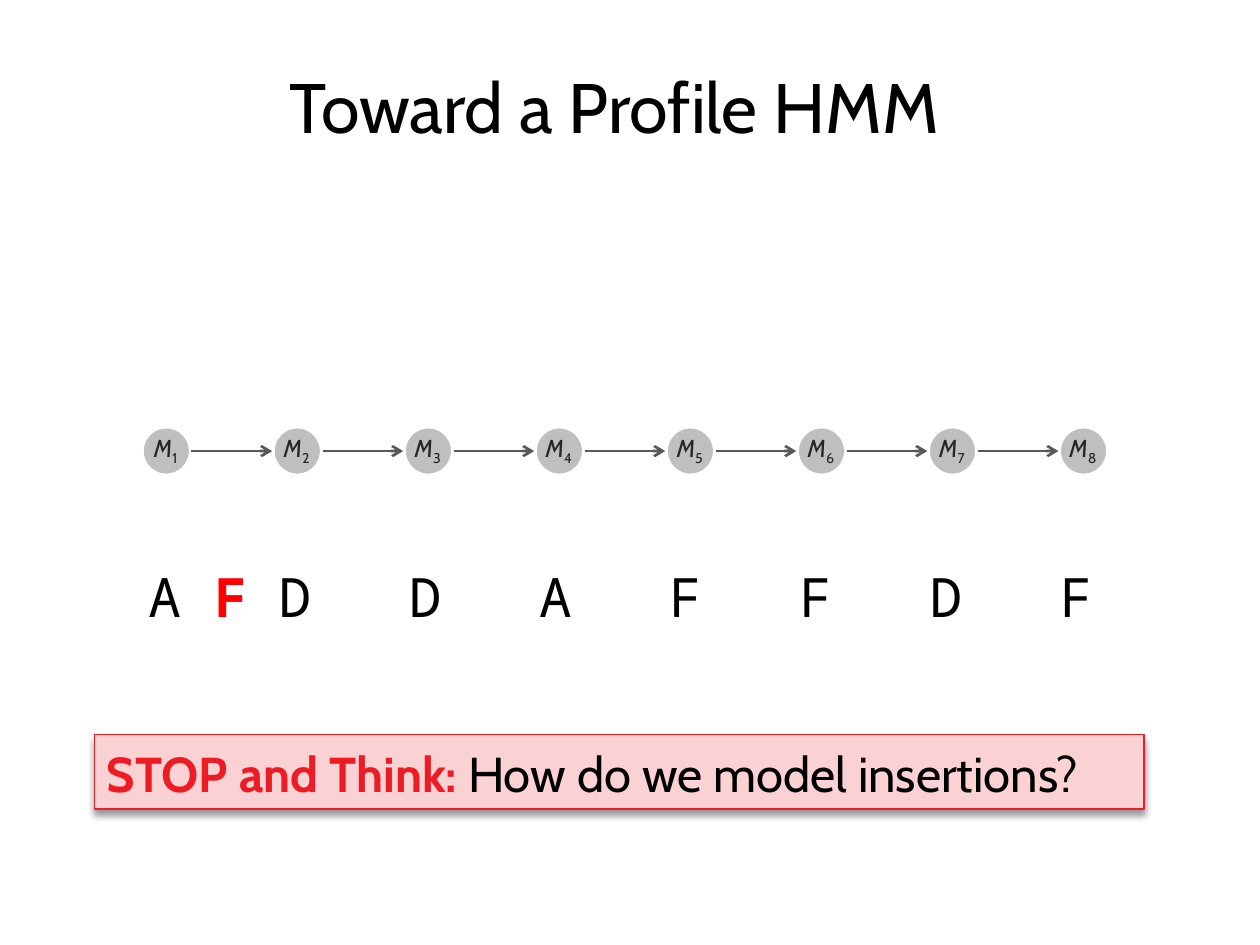
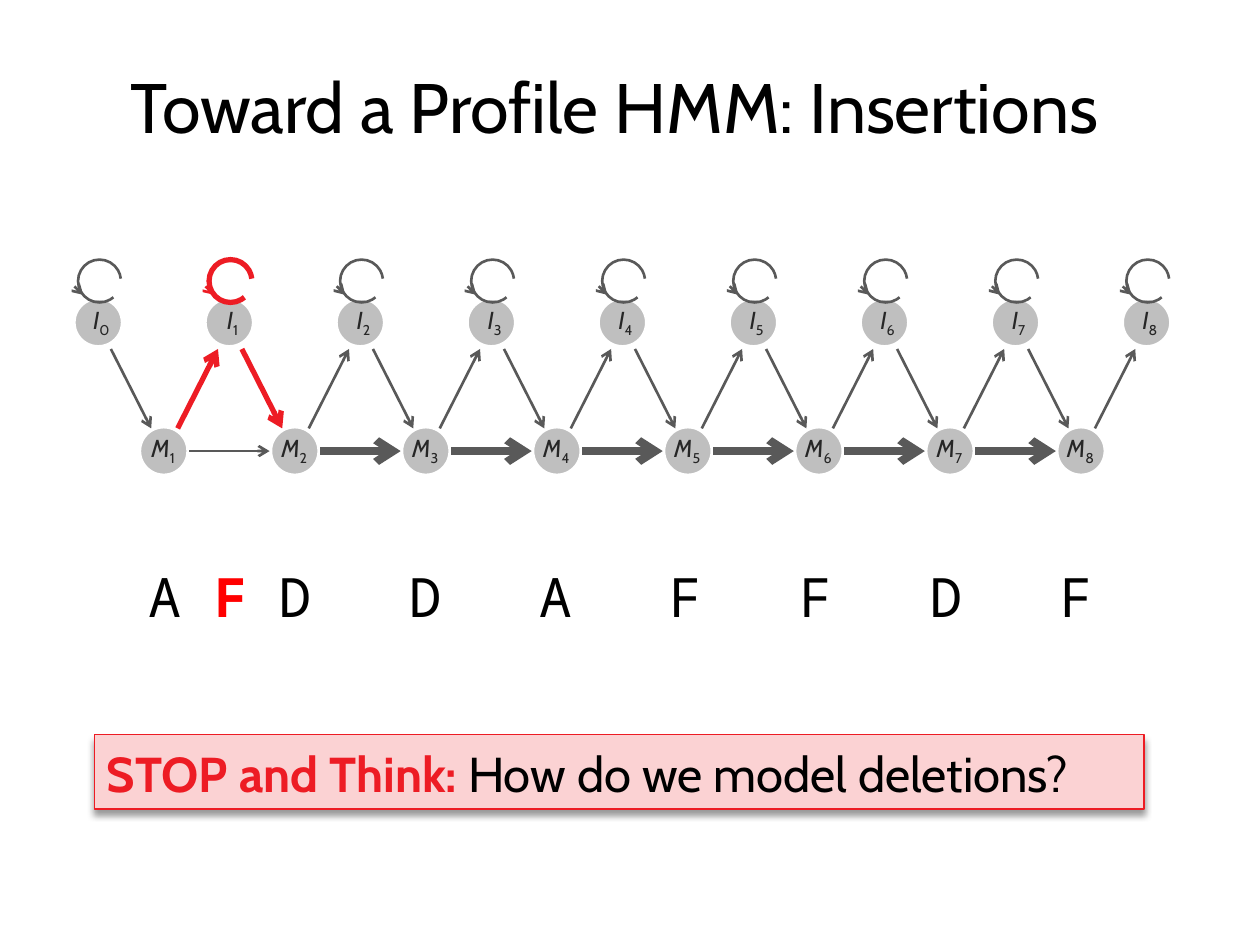
"""Build two slides on profile HMMs: match states, then insertion states."""
from lxml.etree import SubElement
from pptx import Presentation
from pptx.dml.color import RGBColor
from pptx.enum.shapes import MSO_CONNECTOR as CONN, MSO_SHAPE as SHAPE
from pptx.enum.text import MSO_ANCHOR as ANCHOR, MSO_AUTO_SIZE as FIT, PP_ALIGN as ALIGN
from pptx.oxml.ns import qn
from pptx.util import Inches, Pt

SLIDES = [
    {"title": "Toward a Profile HMM", "question": "How do we model insertions?",
     "left": 1.12, "weight": 1.5, "insertions": False},
    {"title": "Toward a Profile HMM: Insertions", "question": "How do we model deletions?",
     "left": 1.1, "weight": 4.5, "insertions": True},
]
PROMPT = "STOP and Think: "
SEQUENCE, INSERTED = "ADDAFFDF", "F"
COLORS = {"node": "BFBFBF", "white": "FFFFFF", "arrow": "595959", "label": "262626",
          "black": "000000", "red": "ED1C24", "pink": "FBD2D3", "inserted": "FF0000"}
SANS, MONO = "Cabin", "Noto Sans Mono"
TITLE = {"name": SANS, "size": Pt(40), "bold": False}
LABEL = {"name": SANS, "size": Pt(14)}
LETTER = {"name": MONO, "size": Pt(31)}
BANNER = {"name": SANS, "size": Pt(28)}

STEP, NODE = 1.04, 0.4
MATCH_Y, INSERT_Y, INSERT_LEFT = 3.38, 2.36, 0.58
MATCH_MID, RISE_TOP, RISE_FOOT = 3.58, 2.77, 3.4
LETTER_STEP = 4 * 0.6 * 31 / 72
HIT = 1


def rgb(key):
    return RGBColor.from_string(COLORS[key])


def box(*lengths):
    return [Inches(v) for v in lengths]


def add_run(p, text, color, fmt, **extra):
    r = p.add_run()
    r.text = text
    for name, value in {**fmt, **extra}.items():
        setattr(r.font, name, value)
    r.font.color.rgb = rgb(color)
    return r


def add_text(s, at, align=ALIGN.LEFT, wrap=True):
    tf = s.shapes.add_textbox(*box(*at)).text_frame
    tf.word_wrap, tf.auto_size = wrap, FIT.SHAPE_TO_FIT_TEXT
    p = tf.paragraphs[0]
    p.alignment = align
    return p


def add_shape(s, kind, at, fill, line, width):
    sp = s.shapes.add_shape(kind, *box(*at))
    sp.shadow.inherit = False
    if fill:
        sp.fill.solid()
        sp.fill.fore_color.rgb = rgb(fill)
    else:
        sp.fill.background()
    sp.line.color.rgb, sp.line.width = rgb(line), Pt(width)
    return sp


def add_arrow(s, start, end, color="arrow", width=1.5):
    c = s.shapes.add_connector(CONN.STRAIGHT, *box(*start, *end))
    c.line.color.rgb, c.line.width = rgb(color), Pt(width)
    pr = c._element.spPr
    SubElement(pr.find(qn("a:ln")), qn("a:tailEnd"), type="arrow")
    SubElement(pr, qn("a:effectLst"))


def add_state(s, letter, index, x, y, label_dx, label_w):
    add_shape(s, SHAPE.OVAL, (x, y, NODE, NODE), "node", "white", 3)
    p = add_text(s, (x + label_dx, y + 0.01, label_w, 0.34), ALIGN.CENTER, False)
    add_run(p, letter, "label", LABEL, italic=True)
    r = add_run(p, str(index), "label", LABEL)
    r._r.get_or_add_rPr().set("baseline", "-25000")


def add_loop(s, x, color, width):
    sp = add_shape(s, SHAPE.ARC, (x + 0.04, 2.06, 0.34, 0.34), None, color, width)
    sp.rotation = 270
    for i, degrees in enumerate((139.5, 83.69)):
        sp.adjustments[i] = degrees * 0.6
    add_arrow(s, (x + 0.07, 2.33), (x + 0.08, 2.34), color)


def add_matches(s, left, weight):
    xs = [left + i * STEP for i in range(len(SEQUENCE))]
    for i, x in enumerate(xs, 1):
        add_state(s, "M", i, x, MATCH_Y, -0.05, 0.49)
    for i, (x, nxt) in enumerate(zip(xs, xs[1:]), 1):
        add_arrow(s, (x + NODE, MATCH_MID), (nxt, MATCH_MID),
                  width=1.5 if i == HIT else weight)
    return xs


def add_insertions(s, match_xs):
    for i in range(len(match_xs) + 1):
        x = INSERT_LEFT + i * STEP
        style = ("red", 3) if i == HIT else ("arrow", 1.5)
        add_state(s, "I", i, x, INSERT_Y, 0.04, 0.37)
        add_loop(s, x, *style)
        if i > 0:
            m = match_xs[i - 1]
            add_arrow(s, (m + 0.31, RISE_FOOT), (m + 0.63, RISE_TOP), *style)
        if i < len(match_xs):
            add_arrow(s, (x + 0.3, RISE_TOP), (x + 0.62, RISE_FOOT), *style)


def add_sequence(s):
    p = add_text(s, (1.08, 4.42, 8, 0.64))
    tabs = SubElement(p._p.get_or_add_pPr(), qn("a:tabLst"))
    for i in range(1, len(SEQUENCE)):
        SubElement(tabs, qn("a:tab"), pos=str(Inches(i * LETTER_STEP)), algn="l")
    add_run(p, "\t".join(SEQUENCE), "black", LETTER)
    p = add_text(s, (1.52, 4.42, 0.62, 0.64), ALIGN.CENTER)
    add_run(p, INSERTED, "inserted", LETTER, bold=True)


def add_banner(s, question):
    sp = add_shape(s, SHAPE.RECTANGLE, (0.75, 5.83, 8.33, 0.59), "pink", "red", 0.75)
    effects = sp._element.spPr.find(qn("a:effectLst"))
    shadow = SubElement(effects, qn("a:outerShdw"), blurRad=str(Pt(4)), dist=str(Pt(3)),
                        dir="5400000", rotWithShape="0")
    color = SubElement(shadow, qn("a:srgbClr"), val=COLORS["black"])
    SubElement(color, qn("a:alpha"), val="40000")
    tf = sp.text_frame
    tf.word_wrap, tf.vertical_anchor = True, ANCHOR.BOTTOM
    p = tf.paragraphs[0]
    p.alignment = ALIGN.LEFT
    add_run(p, PROMPT, "red", BANNER, bold=True)
    add_run(p, question, "black", BANNER, bold=False)


def add_title(s, text):
    sp = s.shapes.title
    sp.left, sp.top, sp.width, sp.height = box(0, 0.42, 9.75, 0.83)
    tf = sp.text_frame
    tf.auto_size, tf.vertical_anchor = FIT.NONE, ANCHOR.MIDDLE
    p = tf.paragraphs[0]
    p.alignment = ALIGN.CENTER
    add_run(p, text, "black", TITLE)


def main():
    prs = Presentation()
    prs.slide_width, prs.slide_height = box(10, 7.5)
    for item in SLIDES:
        s = prs.slides.add_slide(prs.slide_layouts[5])
        add_title(s, item["title"])
        match_xs = add_matches(s, item["left"], item["weight"])
        if item["insertions"]:
            add_insertions(s, match_xs)
        add_sequence(s)
        add_banner(s, item["question"])
    prs.save("out.pptx")


if __name__ == "__main__":
    main()
